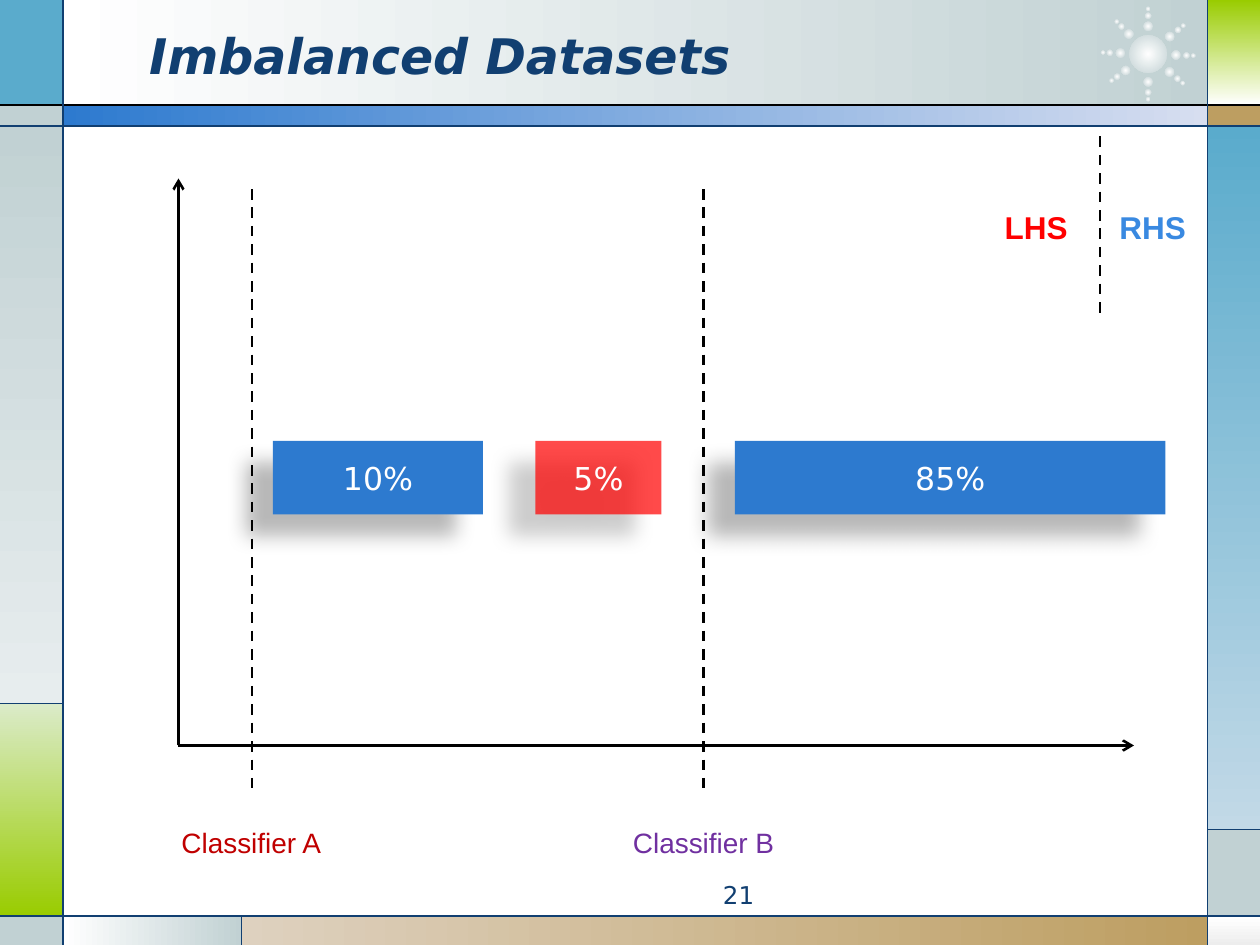
import math

import lxml.etree
import pptx
import pptx.dml.color
import pptx.enum.dml
import pptx.enum.shapes
import pptx.enum.text
import pptx.oxml.ns
import pptx.util

COLORS = {
    "white": "FFFFFF", "black": "000000", "navy": "113F71", "blue": "2D7ACF",
    "pale_blue": "D7DEF0", "sky": "5AABCC", "pale_sky": "C2D9E7",
    "grey": "C1D1D3", "pale_grey": "E7EDEE", "silver": "EDEDED",
    "green": "99CC00", "pale_green": "DBEBC9", "tan": "BD9E61",
    "pale_tan": "DED1BF", "red": "FF0000", "dark_red": "C00000",
    "purple": "7030A0", "legend_blue": "3989E1",
}
COLUMNS, ROWS = 120, 90  # the slide grid: cells of 1/12 inch
ALIGN = pptx.enum.text.PP_ALIGN
ANCHOR = pptx.enum.text.MSO_ANCHOR
SHAPES = pptx.enum.shapes.MSO_SHAPE


def cells(*counts):
    return [pptx.util.Inches(count / 12) for count in counts]


def color(name):
    return pptx.dml.color.RGBColor.from_string(COLORS[name])


def add_xml(parent, tag, **attributes):
    return lxml.etree.SubElement(parent, pptx.oxml.ns.qn(tag), attributes)


def write(frame, *runs, font="DejaVu Sans", size=18, bold=False, italic=False,
          align=ALIGN.LEFT, anchor=ANCHOR.TOP, wrap=True):
    """Fill a text frame with one paragraph of (text, colour) runs."""
    frame.word_wrap = wrap
    frame.vertical_anchor = anchor
    paragraph = frame.paragraphs[0]
    paragraph.alignment = align
    for text, ink in runs:
        run = paragraph.add_run()
        run.text = text
        run.font.name, run.font.size = font, pptx.util.Pt(size)
        run.font.bold, run.font.italic = bold, italic
        run.font.color.rgb = color(ink)
    return paragraph


def add_block(slide, box, *fills, angle=0, kind=SHAPES.RECTANGLE):
    """Add a borderless shape with one solid colour or a two-colour gradient."""
    block = slide.shapes.add_shape(kind, *cells(*box))
    block.shadow.inherit = False
    block.line.fill.background()
    if len(fills) == 1:
        block.fill.solid()
        block.fill.fore_color.rgb = color(fills[0])
    else:
        block.fill.gradient()
        block.fill.gradient_angle = angle
        for stop, position, name in zip(block.fill.gradient_stops, (0, 1), fills):
            stop.position = position
            stop.color.rgb = color(name)
    return block


def add_line(slide, start, end, ink="black", width=1.5, dashed=False, arrow=False):
    line = slide.shapes.add_connector(
        pptx.enum.shapes.MSO_CONNECTOR.STRAIGHT, *cells(*start, *end))
    line.line.color.rgb = color(ink)
    line.line.width = pptx.util.Pt(width)
    if dashed:
        line.line.dash_style = pptx.enum.dml.MSO_LINE.DASH
    if arrow:
        add_xml(line.line._get_or_add_ln(), "a:tailEnd", type="arrow")
    add_xml(line._element.spPr, "a:effectLst")


def draw_frame(slide, width, height):
    """Coloured border panels and the rules between them."""
    left, right = 6, width - 5
    header, band, footer = 10, 12, height - 2.75
    split_left, split_right, split_footer = 67, 79, 23
    down = 270
    panels = [
        # left, top, right, bottom, gradient angle, colours
        (left, 0, right, header, 0, "white", "grey"),
        (0, 0, left, header, 0, "sky"),
        (0, header, left, band, 0, "grey"),
        (0, band, left, split_left, down, "grey", "pale_grey"),
        (0, split_left, left, footer, down, "pale_green", "green"),
        (0, footer, left, height, 0, "grey"),
        (left, footer, split_footer, height, 0, "white", "grey"),
        (split_footer, footer, right, height, 0, "pale_tan", "tan"),
        (right, footer, width, height, down, "white", "silver"),
        (right, split_right, width, footer, 0, "grey"),
        (right, band, width, split_right, down, "sky", "pale_sky"),
        (right, header, width, band, 0, "tan"),
        (right, 0, width, header, down, "green", "white"),
        (left, header, right, band, 0, "blue", "pale_blue"),
    ]
    for x1, y1, x2, y2, angle, *fills in panels:
        add_block(slide, (x1, y1, x2 - x1, y2 - y1), *fills, angle=angle)

    draw_sunburst(slide, 109.35, 5.15)

    add_line(slide, (0, header), (width, header), width=0.75)
    for start, end in [
        ((0, band), (width, band)),
        ((0, footer), (width, footer)),
        ((left, 0), (left, height)),
        ((right, 0), (right, height)),
        ((left, split_left), (0, split_left)),
        ((split_footer, footer), (split_footer, height)),
        ((right, split_right), (width, split_right)),
    ]:
        add_line(slide, start, end, ink="navy", width=0.75)


def draw_sunburst(slide, center_x, center_y):
    """A glowing core with eight arms of shrinking dots."""
    dots = [(0, 0, 3.6)]
    for degrees in (2, 40, 90, 144, 182, 226, 270, 321):
        for radius, size in ((3.65, 0.6), (2.65, 0.9), (4.3, 0.42)):
            turn = math.radians(degrees)
            dots.append((radius * math.cos(turn), radius * math.sin(turn), size))
    for x, y, size in dots:
        box = (center_x + x - size / 2, center_y + y - size / 2, size, size)
        dot = add_block(slide, box, "white", "grey", kind=SHAPES.OVAL)
        gradient = dot._element.spPr.find(pptx.oxml.ns.qn("a:gradFill"))
        gradient.remove(gradient.find(pptx.oxml.ns.qn("a:lin")))
        glow = add_xml(gradient, "a:path", path="circle")
        add_xml(glow, "a:fillToRect", l="50000", t="50000", r="50000", b="50000")


def draw_title(slide, box, text):
    title = slide.shapes.title
    title.left, title.top, title.width, title.height = cells(*box)
    write(title.text_frame, (text, "navy"), size=28, bold=True, italic=True,
          anchor=ANCHOR.MIDDLE)
    # Bring the title in front of the frame
    title._element.getparent().append(title._element)


def draw_bar(slide, box, text, fill, opacity=100):
    bar = add_block(slide, box, fill)
    if opacity < 100:
        tint = bar._element.spPr.find(".//" + pptx.oxml.ns.qn("a:srgbClr"))
        add_xml(tint, "a:alpha", val=str(opacity * 1000))
    effects = bar._element.spPr.find(pptx.oxml.ns.qn("a:effectLst"))
    shadow = add_xml(effects, "a:outerShdw", blurRad=str(pptx.util.Pt(11.8)),
                     dist=str(pptx.util.Pt(19.7)), dir=str(141 * 60000),
                     algn="tr", rotWithShape="0")
    shade = add_xml(shadow, "a:srgbClr", val=COLORS["black"])
    add_xml(shade, "a:alpha", val="28000")
    write(bar.text_frame, (text, "white"), align=ALIGN.CENTER, anchor=ANCHOR.MIDDLE)


def draw_plot(slide, left, top, width, height):
    """Axes, the share of each class and the two classifier thresholds."""
    origin = (left, top + height)
    add_line(slide, origin, (left + width, top + height), arrow=True)
    add_line(slide, origin, (left, top), arrow=True)
    for offset, span, text, fill, opacity in [
        (9, 20, "10%", "blue", 100),
        (34, 12, "5%", "red", 71),
        (53, 41, "85%", "blue", 100),
    ]:
        draw_bar(slide, (left + offset, top + 25, span, 7), text, fill, opacity)
    for offset, text, ink in [(7, "Classifier A", "dark_red"),
                              (50, "Classifier B", "purple")]:
        x = left + offset
        add_line(slide, (x, top + 1), (x, top + height + 4), dashed=True)
        label = slide.shapes.add_textbox(*cells(x - 7.9, top + height + 7, 16, 4.4))
        write(label.text_frame, (text, ink), font="Arial", size=16, wrap=False)


def draw_legend(slide, left, top, width, height):
    """Names of the two sides of a threshold."""
    names = slide.shapes.add_textbox(*cells(left, top + 6.2, width, 4.8))
    paragraph = write(names.text_frame, ("LHS\t", "red"), ("RHS", "legend_blue"),
                      font="Arial", bold=True)
    stops = add_xml(paragraph._p.get_or_add_pPr(), "a:tabLst")
    add_xml(stops, "a:tab", pos=str(pptx.util.Inches(0.91)), algn="l")
    divider = left + width / 2
    add_line(slide, (divider, top), (divider, top + height), dashed=True)


def main():
    deck = pptx.Presentation()
    deck.slide_width, deck.slide_height = cells(COLUMNS, ROWS)
    slide = deck.slides.add_slide(deck.slide_layouts[5])
    draw_frame(slide, COLUMNS, ROWS)
    draw_title(slide, (13, 1.5, 88, 7.5), "Imbalanced Datasets")
    number = slide.shapes.add_textbox(*cells(45, 83.2, 28, 3.2))
    write(number.text_frame, ("21", "navy"), size=14, align=ALIGN.RIGHT)
    draw_plot(slide, 17, 17, 91, 54)
    draw_legend(slide, 94.5, 13, 20.5, 17)
    deck.save("out.pptx")


if __name__ == "__main__":
    main()
